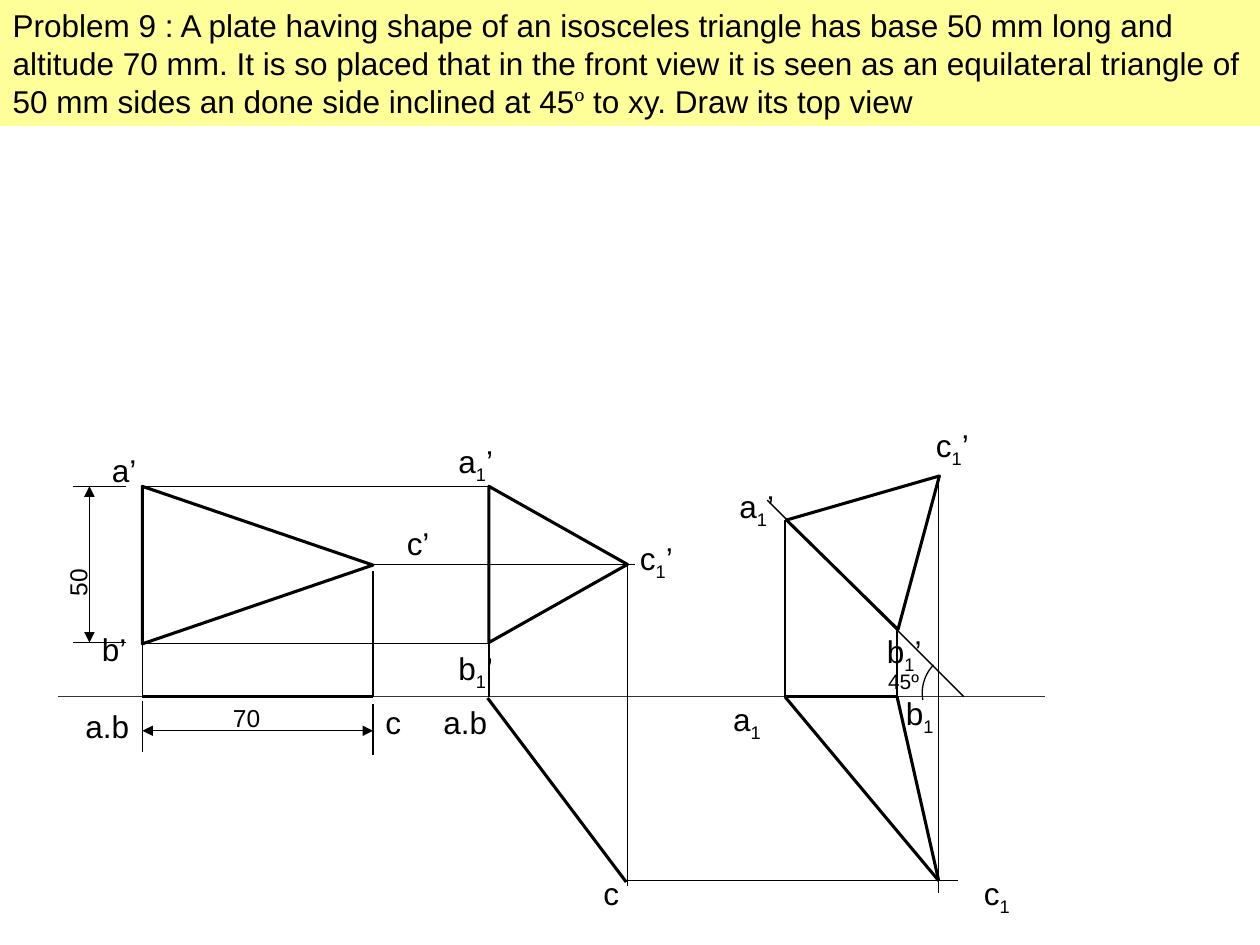
from math import cos, radians, sin

from lxml.etree import SubElement
from pptx import Presentation
from pptx.dml.color import RGBColor
from pptx.enum.shapes import MSO_CONNECTOR as Connector, MSO_SHAPE as Shape
from pptx.enum.text import MSO_ANCHOR as Anchor, MSO_AUTO_SIZE as AutoSize, PP_ALIGN as Align
from pptx.oxml.ns import qn
from pptx.util import Inches, Pt

BLACK = RGBColor(0, 0, 0)
GRAY = RGBColor(0x33, 0x33, 0x33)
YELLOW = RGBColor(0xFF, 0xFF, 0x99)
THIN, THICK = 0.75, 1.75

TITLE = [
    ("Problem 9 : A plate having shape of an isosceles triangle has base 50 mm long and "
     "altitude 70 mm. It is so placed that in the front view it is seen as an equilateral "
     "triangle of 50 mm sides an done side inclined at 45", "Arial"),
    ("º", "Times New Roman"),
    (" to xy. Draw its top view", "Arial"),
]

XY, TOP, MIDDLE, BASE, APEX = 5.53, 3.86, 4.48, 5.11, 6.99
AB, C, AB_TILTED, C_TILTED = 1.13, 2.96, 3.88, 4.98
A_TURNED, B_TURNED, C_TURNED = 6.23, 7.12, 7.45

THIN_LINES = [
    (AB, BASE, AB, XY),
    (C, 4.53, C, XY),
    (AB, TOP, AB_TILTED, TOP),
    (AB, BASE, AB_TILTED, BASE),
    (C, MIDDLE, 5.04, MIDDLE),
    (AB_TILTED, BASE, AB_TILTED, XY),
    (C_TILTED, MIDDLE, C_TILTED, 7.03),
    (1, TOP, 0.58, TOP),
    (1, 5.1, 0.58, 5.1),
    (AB, 5.56, AB, 5.97),
    (C, 5.59, C, 5.99),
    (7.65, XY, 6.09, 3.97),
    (A_TURNED, 4.13, A_TURNED, XY),
    (B_TURNED, 5, B_TURNED, XY),
    (C_TURNED, 3.78, C_TURNED, 7.09),
    (4.96, APEX, 7.6, APEX),
]
THICK_LINES = [
    (AB, XY, C, XY),
    (3.87, 5.54, 4.97, 7),
    (A_TURNED, XY, C_TURNED, APEX),
    (B_TURNED, XY, C_TURNED, APEX),
    (A_TURNED, XY, B_TURNED, XY),
]
DIMENSIONS = [(0.71, TOP, 0.71, 5.1), (AB, 5.8, C, 5.8)]

TRIANGLES = [(1.42, 3.57, 1.25, 1.83, 90), (3.81, 3.93, 1.24, 1.1, 90)]
TURNED_TRIANGLE = (6.45, 3.62, 1.24, 1.1, 44.5)

LABELS = [
    ("a’", 0.79, 3.53), ("b’", 0.71, 4.95), ("c’", 3.13, 4.11),
    ("a.b", 0.58, 5.56), ("c", 2.96, 5.53),
    ("a.b", 3.42, 5.53), ("c", 4.69, 6.89),
    ("a1’", 3.54, 3.46), ("b1’", 3.54, 5.1), ("c1’", 4.98, 4.23),
    ("a1", 5.72, 5.51), ("b1", 7.09, 5.46), ("c1", 7.71, 6.89),
]
TURNED_LABELS = [("a1’", 5.77, 3.82), ("b1’", 6.94, 4.97), ("c1’", 7.33, 3.33)]
MEASURES = [
    ("50", 0.32, 4.36, 0.6, 0.34, 14, 270),
    ("70", 1.75, 5.53, 0.58, 0.34, 14, 0),
    ("45º", 6.95, 5.26, 0.5, 0.3, 12, 0),
]
ARC_CENTER, ARC_RADIUS, ARC_ANGLES = (7.64, 5.5), 0.32, range(170, 225, 3)


def add_run(paragraph, text, size, name="Arial"):
    run = paragraph.add_run()
    run.text = text
    for key, value in {"size": Pt(size), "name": name}.items():
        setattr(run.font, key, value)
    run.font.color.rgb = BLACK
    return run


def add_line(shapes, ends, width, color=BLACK, arrows=False):
    connector = shapes.add_connector(Connector.STRAIGHT, *map(Inches, ends))
    connector.line.width = Pt(width)
    connector.line.color.rgb = color
    properties = connector._element.spPr
    if arrows:
        for tag in ("a:headEnd", "a:tailEnd"):
            SubElement(properties.find(qn("a:ln")), qn(tag), type="triangle")
    SubElement(properties, qn("a:effectLst"))


def outline(shape, width):
    shape.shadow.inherit = False
    shape.fill.background()
    shape.line.color.rgb = BLACK
    shape.line.width = Pt(width)


def add_triangle(shapes, left, top, width, height, rotation):
    frame = map(Inches, (left, top, width, height))
    triangle = shapes.add_shape(Shape.ISOSCELES_TRIANGLE, *frame)
    triangle.rotation = rotation
    outline(triangle, THICK)


def add_text(shapes, left, top, width, height):
    box = shapes.add_textbox(*map(Inches, (left, top, width, height)))
    box.text_frame.word_wrap = True
    box.text_frame.auto_size = AutoSize.SHAPE_TO_FIT_TEXT
    return box


def add_label(shapes, text, left, top):
    letter, subscript, prime = text.partition("1")
    box = add_text(shapes, left, top, 0.58, 0.44 if subscript else 0.4)
    paragraph = box.text_frame.paragraphs[0]
    add_run(paragraph, letter, 18)
    if subscript:
        run = add_run(paragraph, subscript, 18)
        run._r.get_or_add_rPr().set("baseline", "-25000")
    if prime:
        add_run(paragraph, prime, 18)


def add_arc(shapes):
    points = [
        (Inches(ARC_CENTER[0] + ARC_RADIUS * cos(radians(angle))),
         Inches(ARC_CENTER[1] + ARC_RADIUS * sin(radians(angle))))
        for angle in ARC_ANGLES
    ]
    builder = shapes.build_freeform(*points[0])
    builder.add_line_segments(points[1:], close=False)
    outline(builder.convert_to_shape(), THIN)


def add_title(slide):
    title = slide.shapes.title
    frame = {"left": 0, "top": 0, "width": 10, "height": 1}
    for key, value in frame.items():
        setattr(title, key, Inches(value))
    title.fill.solid()
    title.fill.fore_color.rgb = YELLOW
    text_format = {"word_wrap": True, "auto_size": AutoSize.NONE, "vertical_anchor": Anchor.TOP}
    for key, value in text_format.items():
        setattr(title.text_frame, key, value)
    paragraph = title.text_frame.paragraphs[0]
    paragraph.alignment = Align.LEFT
    for text, name in TITLE:
        add_run(paragraph, text, 18, name)


def main():
    presentation = Presentation()
    presentation.slide_width, presentation.slide_height = Inches(10), Inches(7.5)
    slide = presentation.slides.add_slide(presentation.slide_layouts[5])
    shapes = slide.shapes

    add_title(slide)
    add_line(shapes, (0.46, XY, 8.29, XY), THIN, GRAY)
    for triangle in TRIANGLES:
        add_triangle(shapes, *triangle)
    for ends in THIN_LINES:
        add_line(shapes, ends, THIN)
    for ends in THICK_LINES:
        add_line(shapes, ends, THICK)
    for ends in DIMENSIONS:
        add_line(shapes, ends, THIN, arrows=True)
    add_arc(shapes)

    turned_view = shapes.add_group_shape().shapes
    add_triangle(turned_view, *TURNED_TRIANGLE)
    for label in TURNED_LABELS:
        add_label(turned_view, *label)

    for label in LABELS:
        add_label(shapes, *label)
    for text, left, top, width, height, size, rotation in MEASURES:
        box = add_text(shapes, left, top, width, height)
        box.rotation = rotation
        add_run(box.text_frame.paragraphs[0], text, size)

    presentation.save("out.pptx")


if __name__ == "__main__":
    main()
